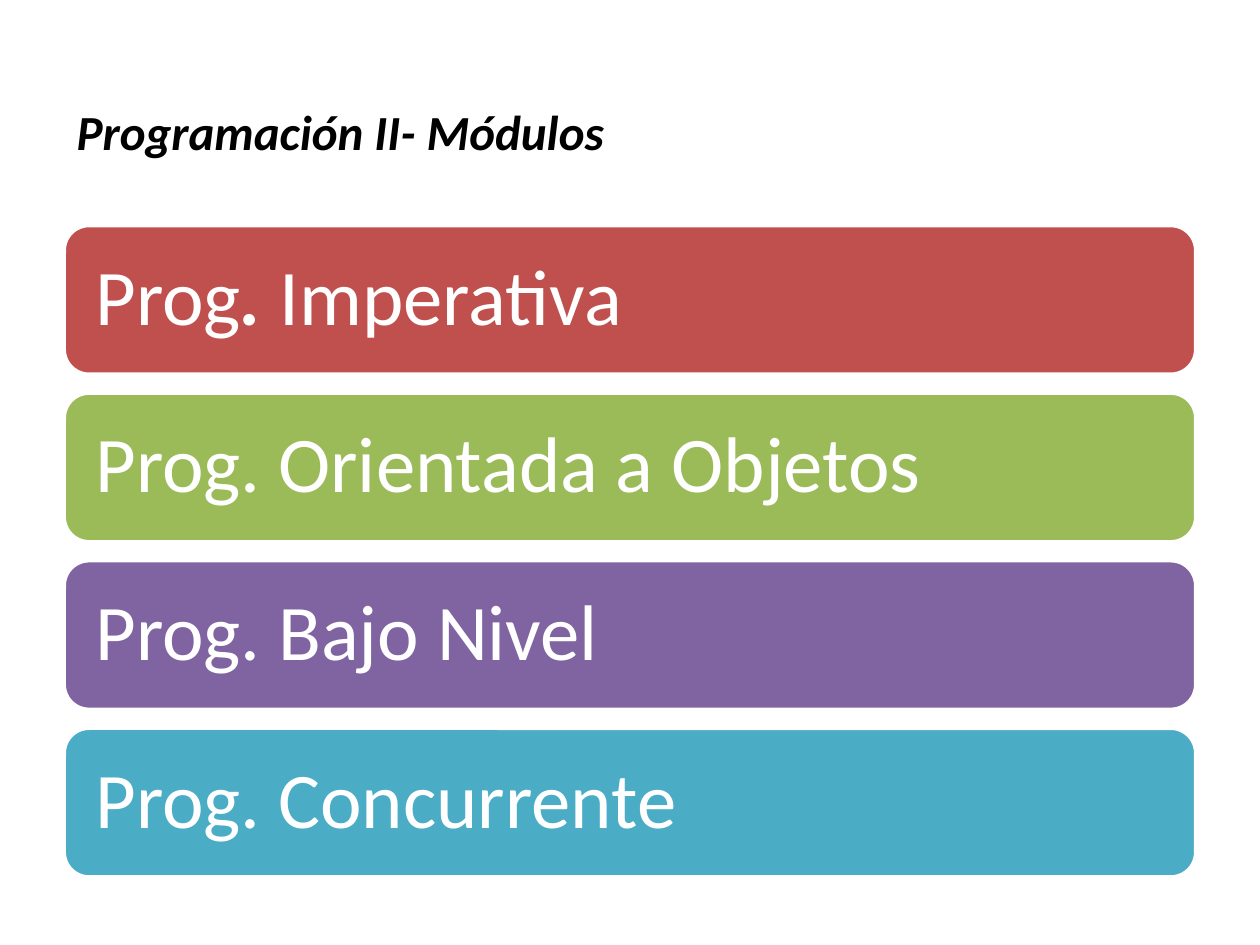
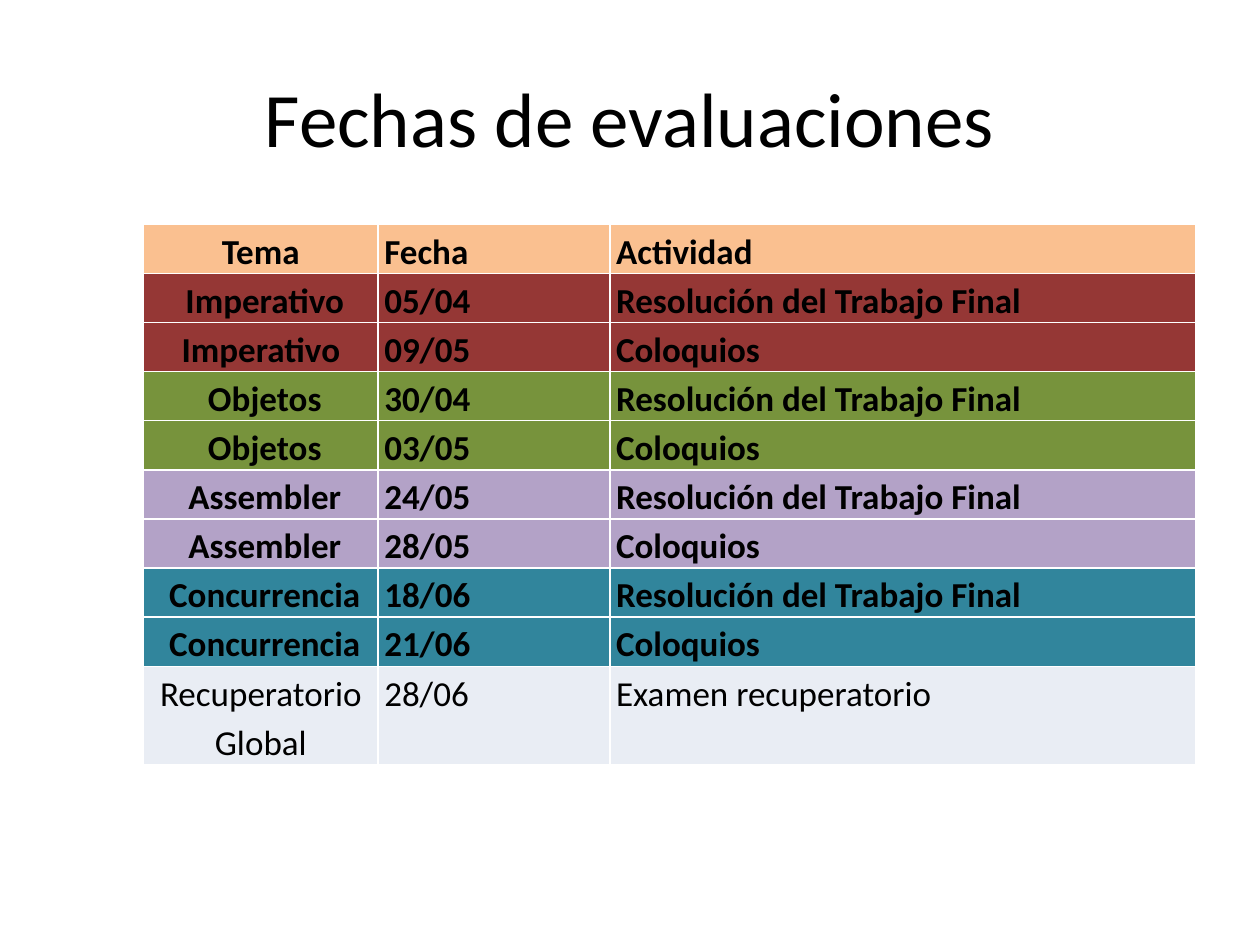
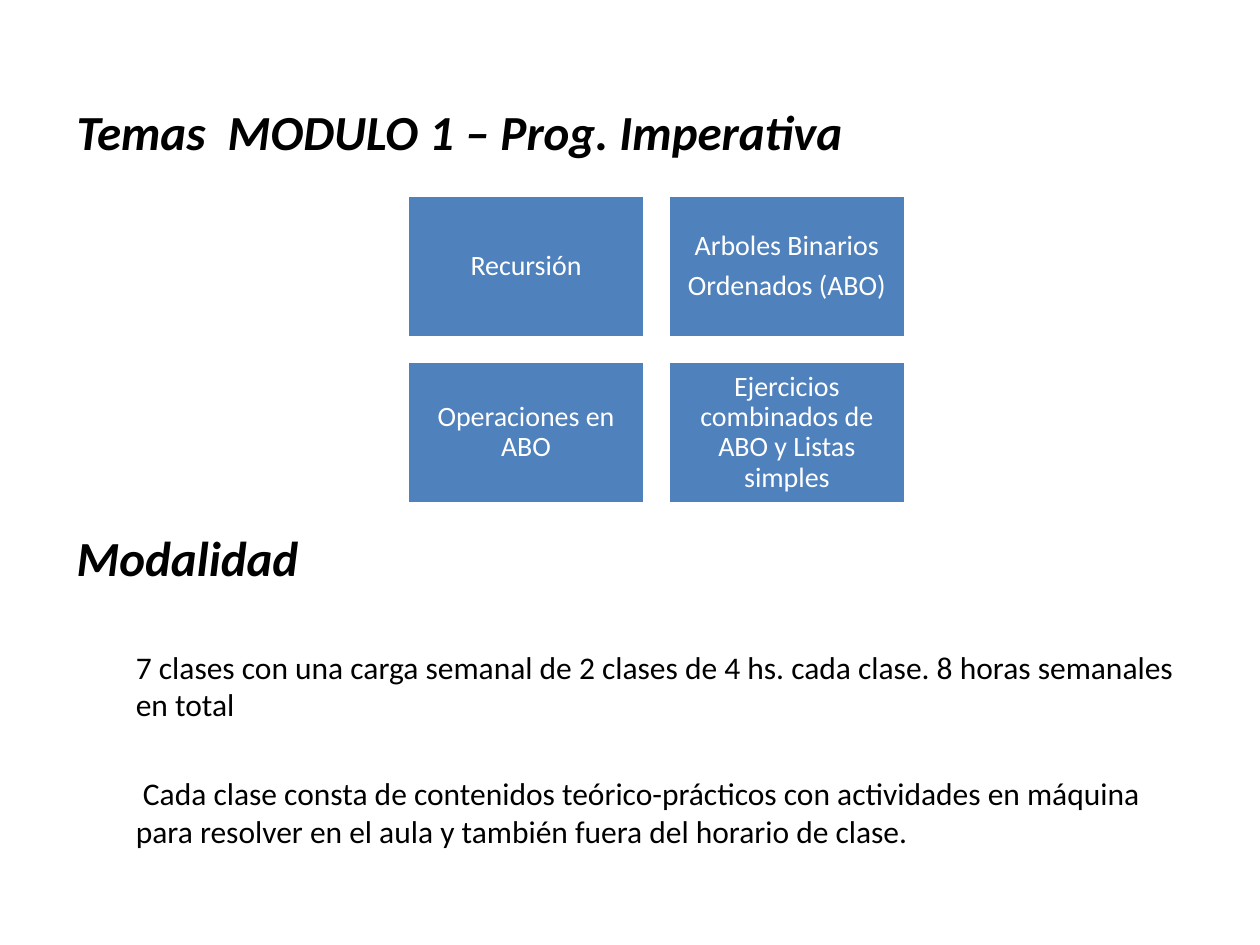
from dataclasses import dataclass
from itertools import product

from lxml.etree import SubElement
from pptx import Presentation
from pptx.dml.color import RGBColor
from pptx.enum.shapes import MSO_SHAPE
from pptx.enum.text import MSO_ANCHOR, PP_ALIGN
from pptx.oxml.ns import qn
from pptx.util import Inches, Pt


@dataclass(frozen=True)
class Theme:
    font: str = "Calibri"
    ink: str = "000000"
    paper: str = "FFFFFF"
    topic: str = "4F81BD"
    header: str = "FAC090"
    title: int = 44
    module: int = 45
    heading: int = 28
    cell: int = 20
    body: int = 18
    small: int = 16


THEME = Theme()

MODULES = [
    ([("Prog", False), (". ", True), ("Imperativa", False)], "C0504D"),
    ("Prog. Orientada a Objetos", "9BBB59"),
    ("Prog. Bajo Nivel", "8064A2"),
    ("Prog. Concurrente", "4BACC6"),
]

HEADER = ("Tema", "Fecha", "Actividad")
FINAL_WORK, ORAL = "Resolución del Trabajo Final", "Coloquios"
EVALUATIONS = [
    (" Imperativo", "05/04", FINAL_WORK, "953735"),
    ("Imperativo", "09/05", ORAL, "953735"),
    (" Objetos", "30/04", FINAL_WORK, "77933C"),
    (" Objetos", "03/05", ORAL, "77933C"),
    (" Assembler", "24/05", FINAL_WORK, "B3A2C7"),
    (" Assembler", "28/05", ORAL, "B3A2C7"),
    (" Concurrencia", "18/06", FINAL_WORK, "31859C"),
    (" Concurrencia", "21/06", ORAL, "31859C"),
]
RESIT = ("Recuperatorio Global", "28/06", "Examen recuperatorio", "E9EDF4")
COLUMN_WIDTHS = (1.86, 1.84, 4.65)
ROW_HEIGHT = 0.39

TOPICS = [
    ["Recursión"],
    ["Arboles Binarios", "Ordenados (ABO)"],
    ["Operaciones en ABO"],
    ["Ejercicios combinados de ABO y Listas simples"],
]
CLASS_FORMAT = [
    "7 clases con una carga semanal de 2 clases de 4 hs. cada clase. 8 horas semanales en total",
    " Cada clase consta de contenidos teórico-prácticos con actividades en máquina para resolver "
    "en el aula y también fuera del horario de clase.",
]


def write(frame, paragraphs, size, color=THEME.ink, bold=False, italic=False,
          align=PP_ALIGN.LEFT, spacing=None, gap=0):
    for index, content in enumerate(paragraphs):
        para = frame.paragraphs[0] if index == 0 else frame.add_paragraph()
        para.alignment = align
        para.line_spacing = spacing
        if index:
            para.space_before = Pt(gap)
        spans = [(content, False)] if isinstance(content, str) else content
        for text, emphasis in spans:
            span = para.add_run()
            span.text = text
            span.font.name = THEME.font
            span.font.size = Pt(size)
            span.font.bold = bold or emphasis
            span.font.italic = italic or emphasis
            span.font.color.rgb = RGBColor.from_string(color)


def set_margins(target, across, down):
    target.margin_left = target.margin_right = Inches(across)
    target.margin_top = target.margin_bottom = Inches(down)


def add_text(page, place, paragraphs, size, wrap=True, anchor=MSO_ANCHOR.TOP, **style):
    frame = page.shapes.add_textbox(*map(Inches, place)).text_frame
    frame.word_wrap = wrap
    frame.vertical_anchor = anchor
    write(frame, paragraphs, size, **style)


def add_heading(page, text, top, width):
    add_text(page, (0.51, top, width, 0.57), [text], THEME.heading,
             wrap=False, bold=True, italic=True)


def add_block(page, kind, place, fill, paragraphs, size, margin, **style):
    box = page.shapes.add_shape(kind, *map(Inches, place))
    box.shadow.inherit = False
    box.fill.solid()
    box.fill.fore_color.rgb = RGBColor.from_string(fill)
    box.line.color.rgb = RGBColor.from_string(THEME.paper)
    box.line.width = Pt(2)
    frame = box.text_frame
    frame.word_wrap = True
    frame.vertical_anchor = MSO_ANCHOR.MIDDLE
    set_margins(frame, margin, margin)
    write(frame, paragraphs, size, color=THEME.paper, spacing=0.9, **style)


def set_borders(cell):
    properties = cell._tc.get_or_add_tcPr()
    for index, side in enumerate(("lnL", "lnR", "lnT", "lnB")):
        line = properties.makeelement(qn(f"a:{side}"), {"w": str(Pt(1))})
        fill = SubElement(line, qn("a:solidFill"))
        SubElement(fill, qn("a:srgbClr"), val=THEME.paper)
        properties.insert(index, line)


def build_modules(page):
    add_heading(page, "Programación II- Módulos", 0.76, 4.65)
    for index, (text, fill) in enumerate(MODULES):
        add_block(page, MSO_SHAPE.ROUNDED_RECTANGLE, (0.51, 1.79 + 1.33 * index, 8.98, 1.18),
                  fill, [text], THEME.module, 0.19)


def build_evaluations(page):
    add_text(page, (0.5, 0.3, 9, 1.25), ["Fechas de evaluaciones"], THEME.title,
             anchor=MSO_ANCHOR.MIDDLE, align=PP_ALIGN.CENTER)
    rows = [(*HEADER, THEME.header), *EVALUATIONS, RESIT]
    place = (1.14, 1.78, sum(COLUMN_WIDTHS), ROW_HEIGHT * (len(rows) + 1))
    table = page.shapes.add_table(len(rows), len(HEADER), *map(Inches, place)).table
    for column, width in zip(table.columns, COLUMN_WIDTHS):
        column.width = Inches(width)
    for index, (*texts, fill) in enumerate(rows):
        is_resit = rows[index] is RESIT
        table.rows[index].height = Inches(ROW_HEIGHT * (2 if is_resit else 1))
        for position, text in enumerate(texts):
            cell = table.cell(index, position)
            set_margins(cell, 0.05, 0)
            cell.fill.solid()
            cell.fill.fore_color.rgb = RGBColor.from_string(fill)
            set_borders(cell)
            write(cell.text_frame, [text], THEME.cell, bold=not is_resit, spacing=1.15,
                  align=PP_ALIGN.LEFT if position else PP_ALIGN.CENTER)


def build_topics(page):
    add_heading(page, "Temas  MODULO 1 – Prog. Imperativa", 0.76, 7.2)
    add_heading(page, "Modalidad", 4.14, 2.17)
    add_text(page, (0.98, 5.09, 8.59, 1.74), CLASS_FORMAT, THEME.body, gap=29)
    for (row, column), lines in zip(product(range(2), repeat=2), TOPICS):
        place = (3.23 + 2.07 * column, 1.55 + 1.32 * row, 1.89, 1.13)
        add_block(page, MSO_SHAPE.RECTANGLE, place, THEME.topic, lines, THEME.small, 0.07,
                  align=PP_ALIGN.CENTER, gap=5.6)


def main():
    deck = Presentation()
    deck.slide_width, deck.slide_height = Inches(10), Inches(7.5)
    for build in (build_modules, build_evaluations, build_topics):
        build(deck.slides.add_slide(deck.slide_layouts[6]))
    deck.save("out.pptx")


if __name__ == "__main__":
    main()
